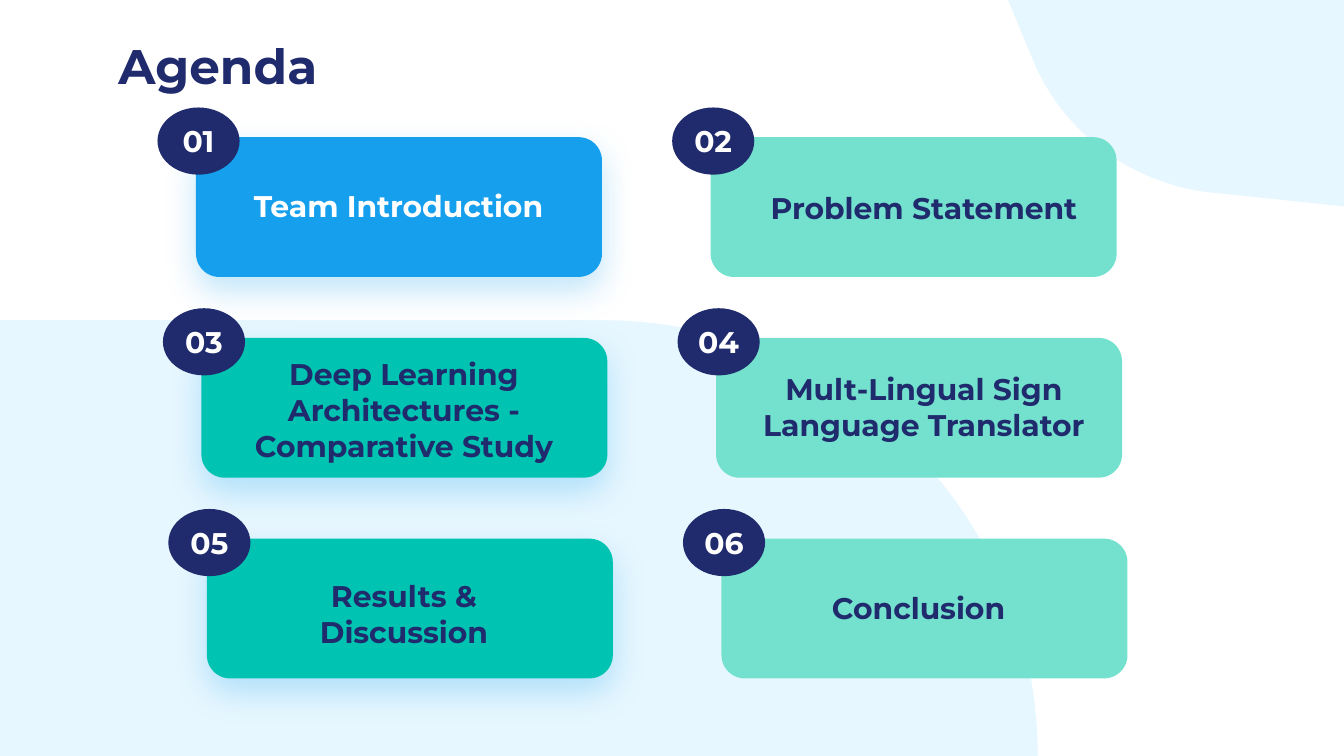
import lxml.etree
import pptx
import pptx.dml.color
import pptx.enum.shapes
import pptx.enum.text
import pptx.oxml.ns
import pptx.util

Pt = pptx.util.Pt
RGBColor = pptx.dml.color.RGBColor
Align = pptx.enum.text.PP_ALIGN
Anchor = pptx.enum.text.MSO_ANCHOR
ShapeType = pptx.enum.shapes.MSO_SHAPE
qn = pptx.oxml.ns.qn

NAVY = RGBColor(0x1F, 0x2B, 0x6C)
BLUE = RGBColor(0x15, 0x9F, 0xED)
TEAL = RGBColor(0x00, 0xC3, 0xB1)
MINT = RGBColor(0x73, 0xE1, 0xCD)
PALE = RGBColor(0xE7, 0xF7, 0xFF)
WHITE = RGBColor(0xFF, 0xFF, 0xFF)


def write_text(shape, text, size=16, color=NAVY, align=Align.CENTER, anchor=Anchor.TOP, inset=7.2):
    frame = shape.text_frame
    frame.word_wrap = True
    frame.auto_size = pptx.enum.text.MSO_AUTO_SIZE.NONE
    frame.vertical_anchor = anchor
    frame.margin_left = frame.margin_right = Pt(inset)
    frame.margin_top = frame.margin_bottom = Pt(inset)
    paragraph = frame.paragraphs[0]
    paragraph.alignment = align
    run = paragraph.add_run()
    run.text = text
    run.font.name = "Montserrat"
    run.font.size = Pt(size)
    run.font.bold = True
    run.font.color.rgb = color


def paint(shape, color):
    shape.shadow.inherit = False
    shape.fill.solid()
    shape.fill.fore_color.rgb = color
    shape.line.fill.background()


presentation = pptx.Presentation()
presentation.slide_width = Pt(720)
presentation.slide_height = Pt(405)
slide = presentation.slides.add_slide(presentation.slide_layouts[5])

title = slide.shapes.title
title.left, title.top, title.width, title.height = Pt(56.2), Pt(12.2), Pt(607.7), Pt(45.4)
write_text(title, "Agenda", size=26, align=Align.LEFT)

# Each backdrop: corners before the curve, four Bezier points, corners after it.
backdrops = [
    ([(0, 171.5), (0, 405)], [(556, 405), (556, 276), (451.5, 171.5), (322.5, 171.5)], []),
    ([(720, 110.6), (720, 0), (540, 0)], [(554.4, 34.6), (571, 72), (606.2, 97.9), (647.3, 103)], []),
]
for before, curve, after in backdrops:
    points = list(before)
    for step in range(41):
        t = step / 40
        weights = ((1 - t) ** 3, 3 * t * (1 - t) ** 2, 3 * t ** 2 * (1 - t), t ** 3)
        points.append(tuple(sum(w * p[axis] for w, p in zip(weights, curve)) for axis in (0, 1)))
    points = [(Pt(x), Pt(y)) for x, y in points + after]
    builder = slide.shapes.build_freeform(*points[0], scale=1.0)
    builder.add_line_segments(points[1:], close=True)
    paint(builder.convert_to_shape(), PALE)

agenda = [
    ("Team Introduction", BLUE, WHITE, (121.7, 93.6, 183.6, 36)),
    ("Problem Statement", MINT, NAVY, (403.2, 94.3, 183.6, 33.8)),
    ("Deep Learning Architectures - Comparative Study", TEAL, NAVY, (124.6, 183.6, 183.6, 72.7)),
    ("Mult-Lingual Sign Language Translator", MINT, NAVY, (400.3, 191.5, 189.4, 53.3)),
    ("Results & Discussion", TEAL, NAVY, (124.6, 302.4, 183.6, 33.8)),
    ("Conclusion", MINT, NAVY, (400.3, 308.9, 183.6, 33.8)),
]
for index, (label, fill, color, box) in enumerate(agenda):
    row, column = divmod(index, 2)
    left = 105 + 275.7 * column + 2.9 * row
    top = 73.5 + 107.55 * row

    card = slide.shapes.add_shape(ShapeType.ROUNDED_RECTANGLE, Pt(left), Pt(top), Pt(217.5), Pt(74.9))
    card.adjustments[0] = 0.167
    paint(card, fill)
    if column == 0:
        effects = card.fill._xPr.find(qn("a:effectLst"))
        shadow = lxml.etree.SubElement(
            effects, qn("a:outerShdw"), blurRad=str(Pt(18)), dist=str(Pt(7.5)),
            dir="5400000", algn="bl", rotWithShape="0")
        shade = lxml.etree.SubElement(shadow, qn("a:srgbClr"), val=str(BLUE))
        lxml.etree.SubElement(shade, qn("a:alpha"), val="25000")

    badge = slide.shapes.add_shape(ShapeType.OVAL, Pt(left - 20.6), Pt(top - 15.9), Pt(44), Pt(36))
    paint(badge, NAVY)
    write_text(badge, f"{index + 1:02d}", color=WHITE, anchor=Anchor.MIDDLE, inset=0)

    write_text(slide.shapes.add_textbox(*map(Pt, box)), label, color=color)

presentation.save("out.pptx")
